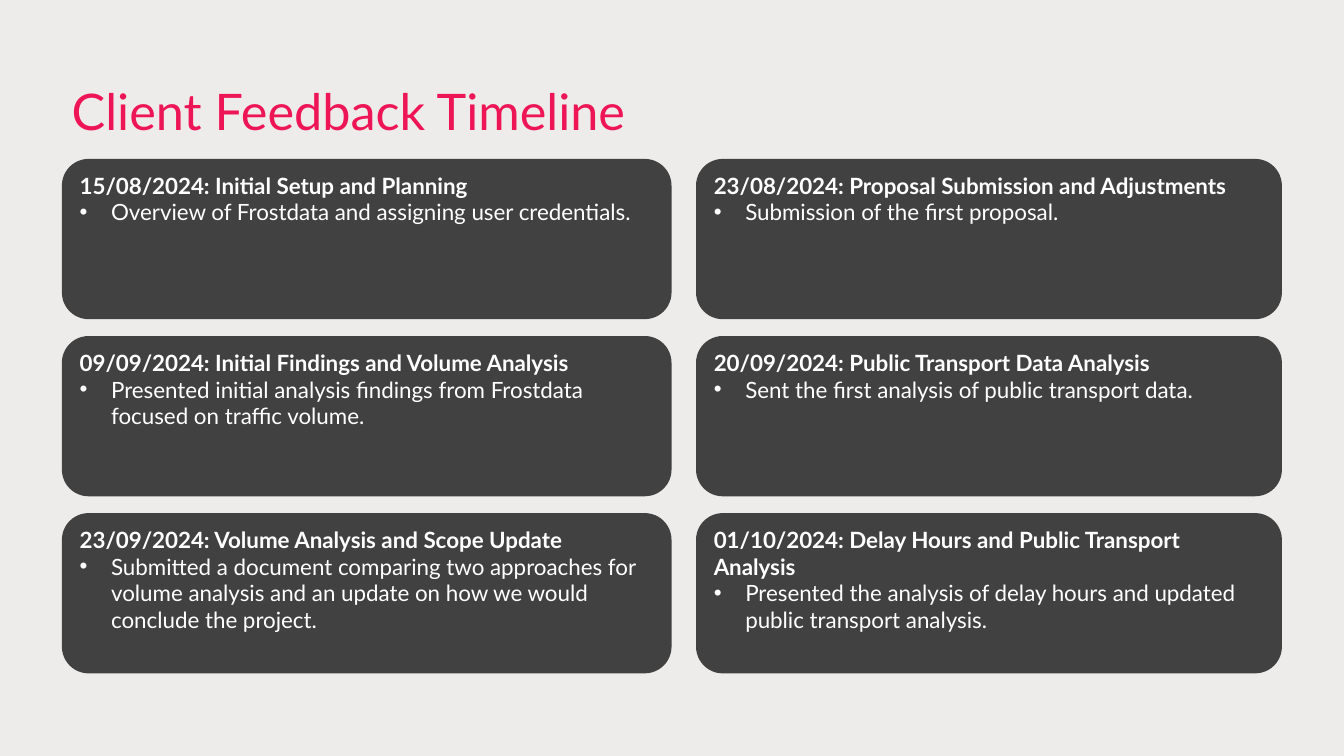
from lxml.etree import SubElement
from pptx import Presentation
from pptx.dml.color import RGBColor
from pptx.enum.shapes import MSO_SHAPE
from pptx.enum.text import MSO_ANCHOR, MSO_AUTO_SIZE, PP_ALIGN
from pptx.oxml.ns import qn
from pptx.util import Pt

FONT = "Lato"
BACKGROUND, PINK, CHARCOAL, WHITE = "EEECEA", "EE1556", "414142", "FFFFFF"

MILESTONES = [
    ("15/08/2024: Initial Setup and Planning",
     "Overview of Frostdata and assigning user credentials."),
    ("23/08/2024: Proposal Submission and Adjustments",
     "Submission of the first proposal."),
    ("09/09/2024: Initial Findings and Volume Analysis",
     "Presented initial analysis findings from Frostdata focused on traffic volume."),
    ("20/09/2024: Public Transport Data Analysis",
     "Sent the first analysis of public transport data."),
    ("23/09/2024: Volume Analysis and Scope Update",
     "Submitted a document comparing two approaches for volume analysis "
     "and an update on how we would conclude the project."),
    ("01/10/2024: Delay Hours and Public Transport Analysis",
     "Presented the analysis of delay hours and updated public transport analysis."),
]


def rgb(color):
    return RGBColor.from_string(color)


def add_run(p, text, size, color, bold=False):
    r = p.add_run()
    r.text = text
    r.font.name = FONT
    r.font.size = Pt(size)
    r.font.bold = bold
    r.font.color.rgb = rgb(color)


def set_bullet(p, indent):
    pPr = p._p.get_or_add_pPr()
    pPr.set("marL", str(Pt(indent)))
    pPr.set("indent", str(-Pt(indent)))
    SubElement(pPr, qn("a:buFont")).set("typeface", "Arial")
    SubElement(pPr, qn("a:buChar")).set("char", "•")


def place_title(s, text, left, top, width, height):
    sp = s.shapes.title
    sp.left, sp.top, sp.width, sp.height = Pt(left), Pt(top), Pt(width), Pt(height)
    tf = sp.text_frame
    tf.word_wrap = True
    tf.auto_size = MSO_AUTO_SIZE.NONE
    tf.vertical_anchor = MSO_ANCHOR.MIDDLE
    p = tf.paragraphs[0]
    p.alignment = PP_ALIGN.LEFT
    p.line_spacing = 0.9
    add_run(p, text, 36, PINK)


def add_card(s, heading, detail, left, top, width, height):
    sp = s.shapes.add_shape(MSO_SHAPE.ROUNDED_RECTANGLE,
                            Pt(left), Pt(top), Pt(width), Pt(height))
    sp.shadow.inherit = False
    sp.fill.solid()
    sp.fill.fore_color.rgb = rgb(CHARCOAL)
    sp.line.fill.background()
    tf = sp.text_frame
    tf.word_wrap = True
    tf.vertical_anchor = MSO_ANCHOR.TOP
    p = tf.paragraphs[0]
    p.alignment = PP_ALIGN.LEFT
    add_run(p, heading, 16, WHITE, bold=True)
    p = tf.add_paragraph()
    p.alignment = PP_ALIGN.LEFT
    set_bullet(p, 22.5)
    add_run(p, detail, 16, WHITE)


def add_timeline(s, left, top, width, height):
    """Fill the box with milestone cards, two to a row, read across."""
    col_gap, row_gap, first_width = 17.5, 12, 435.5
    second_left = first_width + col_gap
    columns = [(0, first_width), (second_left, width - second_left)]
    rows = len(MILESTONES) // len(columns)
    card_height = (height - row_gap * (rows - 1)) / rows
    for i, (heading, detail) in enumerate(MILESTONES):
        row, col = divmod(i, len(columns))
        offset, card_width = columns[col]
        add_card(s, heading, detail, left + offset,
                 top + row * (card_height + row_gap), card_width, card_height)


def build_timeline_slide(prs):
    s = prs.slides.add_slide(prs.slide_layouts[5])
    s.background.fill.solid()
    s.background.fill.fore_color.rgb = rgb(BACKGROUND)
    place_title(s, "Client Feedback Timeline", 44, 29.5, 828, 104.5)
    add_timeline(s, 44.2, 113.5, 871.5, 367.5)


def main():
    prs = Presentation()
    prs.slide_width, prs.slide_height = Pt(960), Pt(540)
    build_timeline_slide(prs)
    prs.save("out.pptx")


if __name__ == "__main__":
    main()
